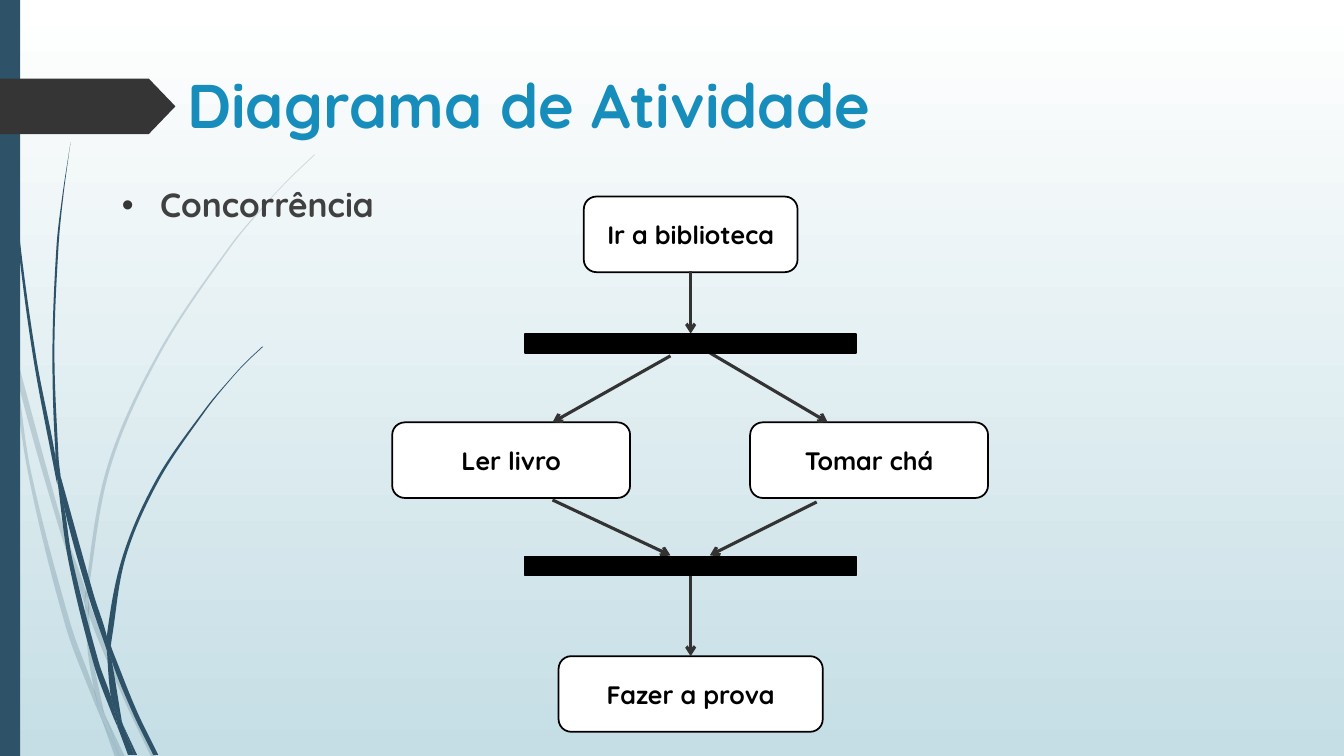
from lxml.etree import SubElement
from pptx import Presentation
from pptx.dml.color import RGBColor
from pptx.enum.shapes import MSO_CONNECTOR, MSO_SHAPE
from pptx.enum.text import MSO_ANCHOR, PP_ALIGN
from pptx.oxml.ns import qn
from pptx.util import Inches, Pt

FONT = "Quicksand"
WHITE = RGBColor(0xFF, 0xFF, 0xFF)
BLACK = RGBColor(0, 0, 0)
MIST = RGBColor(0xC5, 0xDE, 0xE5)
NAVY = RGBColor(0x2E, 0x53, 0x69)
CHARCOAL = RGBColor(0x35, 0x35, 0x35)
ARROW = RGBColor(0x33, 0x33, 0x33)
TITLE_BLUE = RGBColor(0x17, 0x8D, 0xBB)
BODY_GRAY = RGBColor(0x40, 0x40, 0x40)

TITLE = "Diagrama de Atividade"
TOPIC = "Concorrência"

CENTER_X = 6.85
ACTIVITY_HEIGHT = 0.75
BAR_SIZE = 3.28, 0.19
# text, centre x, top, width
ACTIVITIES = [
    ("Ir a biblioteca", CENTER_X, 1.95, 2.12),
    ("Ler livro", 5.07, 4.19, 2.36),
    ("Tomar chá", 8.62, 4.19, 2.36),
    ("Fazer a prova", CENTER_X, 6.51, 2.62),
]
FLOWS = [
    ((CENTER_X, 2.69), (CENTER_X, 3.31)),
    ((7.04, 3.5), (8.21, 4.19)),
    ((6.65, 3.53), (5.48, 4.19)),
    ((5.48, 4.96), (6.65, 5.51)),
    ((8.1, 4.98), (7.04, 5.51)),
    ((CENTER_X, 5.71), (CENTER_X, 6.51)),
]
BAR_TOPS = [3.31, 5.52]

# Grass blade pieces: left edge and right edge, both from top to bottom
PALE_BLADES = [
    ([(0, 2.99), (0.1, 3.44), (0.11, 3.5)], [(0, 2.82), (0.09, 3.22), (0.11, 3.5)]),
    ([(0.14, 3.45), (0.17, 3.76), (0.58, 5.22), (0.84, 5.99)],
     [(0.14, 3.45), (0.62, 5.2), (0.85, 5.86), (0.84, 5.99)]),
    ([(0.88, 5.96), (0.88, 6.1), (1.23, 6.94), (1.5, 7.51)],
     [(0.88, 5.96), (0.92, 6.07), (1.27, 6.92), (1.55, 7.51)]),
    ([(1.05, 7.11), (1.19, 7.51)], [(1.05, 7.11), (1.24, 7.51)]),
    ([(0.11, 3.5), (0.28, 4.7), (0.65, 6.21), (0.92, 6.93), (1.01, 7.14)],
     [(0.11, 3.5), (0.17, 3.76), (0.31, 4.69), (0.7, 6.19), (0.93, 6.83),
      (0.99, 7.07), (1.01, 7.14)]),
    ([(0.84, 5.99), (0.87, 6.46), (0.93, 6.83), (0.96, 6.92), (1.05, 7.11)],
     [(0.84, 5.99), (0.88, 6.08), (0.91, 6.46), (1.03, 7.06), (1.05, 7.11)]),
    ([(3.12, 1.53), (2.89, 1.75), (2.68, 1.97), (2.28, 2.44), (1.58, 3.48),
      (1.07, 4.61), (0.85, 5.84), (0.88, 5.96)],
     [(3.12, 1.54), (2.9, 1.75), (2.68, 1.98), (2.29, 2.45), (1.6, 3.49),
      (1.1, 4.62), (0.88, 5.84), (0.88, 5.96)]),
    ([(1.01, 7.14), (1.14, 7.51)], [(1.01, 7.14), (1.19, 7.51)]),
    ([(0.85, 5.86), (0.84, 5.99), (0.88, 6.08), (0.88, 6.1)],
     [(0.85, 5.86), (0.88, 5.96), (0.88, 6.1)]),
    ([(0.93, 6.83), (0.99, 7.07), (1.01, 7.14), (1.19, 7.51)],
     [(0.93, 6.83), (0.96, 6.92), (1.05, 7.11), (1.19, 7.51)]),
]
DARK_BLADES = [
    ([(0.03, 0), (0.04, 0.48), (0.07, 1.1), (0.17, 2.33), (0.33, 3.55), (0.56, 4.77),
      (0.57, 4.81)],
     [(0.04, 0), (0.05, 0.48), (0.08, 1.09), (0.19, 2.32), (0.36, 3.55), (0.55, 4.53),
      (0.57, 4.81)]),
    ([(0.6, 4.72), (0.64, 5.05), (0.88, 5.92), (1.06, 6.45)],
     [(0.6, 4.72), (0.93, 5.9), (1.06, 6.31), (1.06, 6.45)]),
    ([(1.1, 6.41), (1.11, 6.56), (1.32, 7.08), (1.52, 7.49)],
     [(1.1, 6.41), (1.13, 6.49), (1.36, 7.06), (1.57, 7.49)]),
    ([(0.57, 4.77), (0.68, 5.57), (0.93, 6.59), (1.11, 7.08), (1.17, 7.22)],
     [(0.57, 4.77), (0.64, 5.05), (0.72, 5.56), (0.98, 6.57), (1.1, 6.91),
      (1.16, 7.17), (1.17, 7.22)]),
    ([(0.7, 1.41), (0.62, 1.93), (0.56, 2.45), (0.52, 3.49), (0.55, 4.49), (0.6, 4.72)],
     [(0.7, 1.41), (0.63, 1.93), (0.58, 2.45), (0.54, 3.49), (0.58, 4.53), (0.6, 4.72)]),
    ([(1.22, 7.19), (1.33, 7.49)], [(1.22, 7.19), (1.36, 7.49)]),
    ([(0.55, 4.49), (0.55, 4.53), (0.57, 4.77), (0.64, 5.05)],
     [(0.55, 4.49), (0.6, 4.72), (0.64, 5.05)]),
    ([(2.6, 3.44), (2.45, 3.58), (2.31, 3.73), (2.04, 4.05), (1.56, 4.74),
      (1.22, 5.51), (1.06, 6.31), (1.1, 6.41)],
     [(2.61, 3.44), (2.45, 3.59), (2.31, 3.74), (2.05, 4.06), (1.58, 4.76),
      (1.25, 5.52), (1.11, 6.33), (1.1, 6.41)]),
    ([(1.17, 7.22), (1.27, 7.49)], [(1.17, 7.22), (1.31, 7.49)]),
    ([(1.06, 6.45), (1.1, 6.91), (1.16, 7.06), (1.22, 7.19)],
     [(1.06, 6.45), (1.09, 6.51), (1.11, 6.56), (1.21, 7.16), (1.22, 7.19)]),
    ([(1.06, 6.31), (1.06, 6.45), (1.09, 6.51), (1.11, 6.56)],
     [(1.06, 6.31), (1.1, 6.41), (1.11, 6.56)]),
    ([(1.1, 6.91), (1.16, 7.17), (1.17, 7.22), (1.3, 7.49)],
     [(1.1, 6.91), (1.16, 7.06), (1.22, 7.19), (1.33, 7.49)]),
]


def smooth_edge(nodes):
    """Start point, then two controls and an end point for each Bezier curve."""
    before, after = nodes[:1] + nodes[:-1], nodes[1:] + nodes[-1:]
    slopes = [(xb - xa) / (yb - ya) for (xa, ya), (xb, yb) in zip(before, after)]
    curve = nodes[:1]
    for i, ((xa, ya), (xb, yb)) in enumerate(zip(nodes, nodes[1:])):
        third = (yb - ya) / 3
        curve = curve + [(xa + slopes[i] * third, ya + third),
                         (xb - slopes[i + 1] * third, yb - third), (xb, yb)]
    return curve


def paint(shape, fill, line=None):
    shape.shadow.inherit = False
    shape.fill.solid()
    shape.fill.fore_color.rgb = fill
    if line is None:
        shape.line.fill.background()
    else:
        shape.line.color.rgb = line
        shape.line.width = Pt(1.25)


def add_blade(shapes, left_edge, right_edge, opacity):
    down, up = smooth_edge(left_edge), smooth_edge(right_edge)[::-1]
    outline = [(Inches(x), Inches(y)) for x, y in down + up]
    builder = shapes.build_freeform(*outline[0])
    builder.add_line_segments(outline[1:], close=True)
    blade = builder.convert_to_shape()
    paint(blade, NAVY)

    segments = list(blade._element.iter(qn("a:lnTo")))
    turn = len(down) - 1
    for side in (segments[:turn], segments[turn + 1:]):
        for first, second, end in zip(side[::3], side[1::3], side[2::3]):
            first.tag = qn("a:cubicBezTo")
            for control in (second, end):
                first.append(control[0])
                control.getparent().remove(control)
    if opacity < 100:
        color = blade.fill._xPr.find(qn("a:solidFill"))[0]
        SubElement(color, qn("a:alpha"), val=str(opacity * 1000))


def add_block(shapes, kind, left, top, width, height, fill, line=None):
    block = shapes.add_shape(kind, *map(Inches, (left, top, width, height)))
    paint(block, fill, line)
    return block


def write(shape, text, size, color, anchor, align=PP_ALIGN.LEFT):
    frame = shape.text_frame
    frame.text = text
    frame.word_wrap = True
    frame.vertical_anchor = anchor
    paragraph = frame.paragraphs[0]
    paragraph.alignment = align
    font = paragraph.runs[0].font
    font.name, font.size, font.bold = FONT, Pt(size), True
    font.color.rgb = color
    return paragraph


def add_bullet(paragraph, color):
    properties = paragraph._p.get_or_add_pPr()
    properties.set("marL", str(Inches(0.38)))
    properties.set("indent", str(-Inches(0.38)))
    bullet_color = SubElement(properties, qn("a:buClr"))
    SubElement(bullet_color, qn("a:srgbClr"), val=str(color))
    SubElement(properties, qn("a:buFont"), typeface="Arial")
    SubElement(properties, qn("a:buChar"), char="•")


def add_flow(shapes, start, end):
    flow = shapes.add_connector(MSO_CONNECTOR.STRAIGHT, *map(Inches, start + end))
    flow.line.color.rgb = ARROW
    flow.line.width = Pt(2.25)
    SubElement(flow.line._get_or_add_ln(), qn("a:tailEnd"), type="arrow")
    SubElement(flow._element.spPr, qn("a:effectLst"))


def main():
    deck = Presentation()
    deck.slide_width, deck.slide_height = Inches(13.33), Inches(7.5)
    slide = deck.slides.add_slide(deck.slide_layouts[6])
    shapes = slide.shapes
    backdrop = slide.background.fill
    backdrop.gradient()
    backdrop.gradient_angle = 270
    for stop, color in zip(backdrop.gradient_stops, (WHITE, MIST)):
        stop.color.rgb = color

    for blades, opacity in ((PALE_BLADES, 20), (DARK_BLADES, 100)):
        for left_edge, right_edge in blades:
            add_blade(shapes, left_edge, right_edge, opacity)
    add_block(shapes, MSO_SHAPE.RECTANGLE, 0, 0, 0.2, 7.5, NAVY)
    pointer = add_block(shapes, MSO_SHAPE.PENTAGON, 0, 0.78, 1.74, 0.55, CHARCOAL)
    pointer.adjustments[0] = 0.48
    heading = shapes.add_textbox(*map(Inches, (1.76, 0.65, 10.82, 0.77)))
    write(heading, TITLE, 44, TITLE_BLUE, MSO_ANCHOR.MIDDLE)
    body = shapes.add_textbox(*map(Inches, (1.11, 1.78, 11.47, 5.72)))
    add_bullet(write(body, TOPIC, 24, BODY_GRAY, MSO_ANCHOR.TOP), CHARCOAL)

    for text, center, top, width in ACTIVITIES:
        activity = add_block(shapes, MSO_SHAPE.ROUNDED_RECTANGLE, center - width / 2,
                             top, width, ACTIVITY_HEIGHT, WHITE, BLACK)
        write(activity, text, 18, BLACK, MSO_ANCHOR.MIDDLE, PP_ALIGN.CENTER)
    for start, end in FLOWS:
        add_flow(shapes, start, end)
    for top in BAR_TOPS:
        add_block(shapes, MSO_SHAPE.RECTANGLE, CENTER_X - BAR_SIZE[0] / 2, top,
                  *BAR_SIZE, BLACK, BLACK)
    deck.save("out.pptx")


if __name__ == "__main__":
    main()
